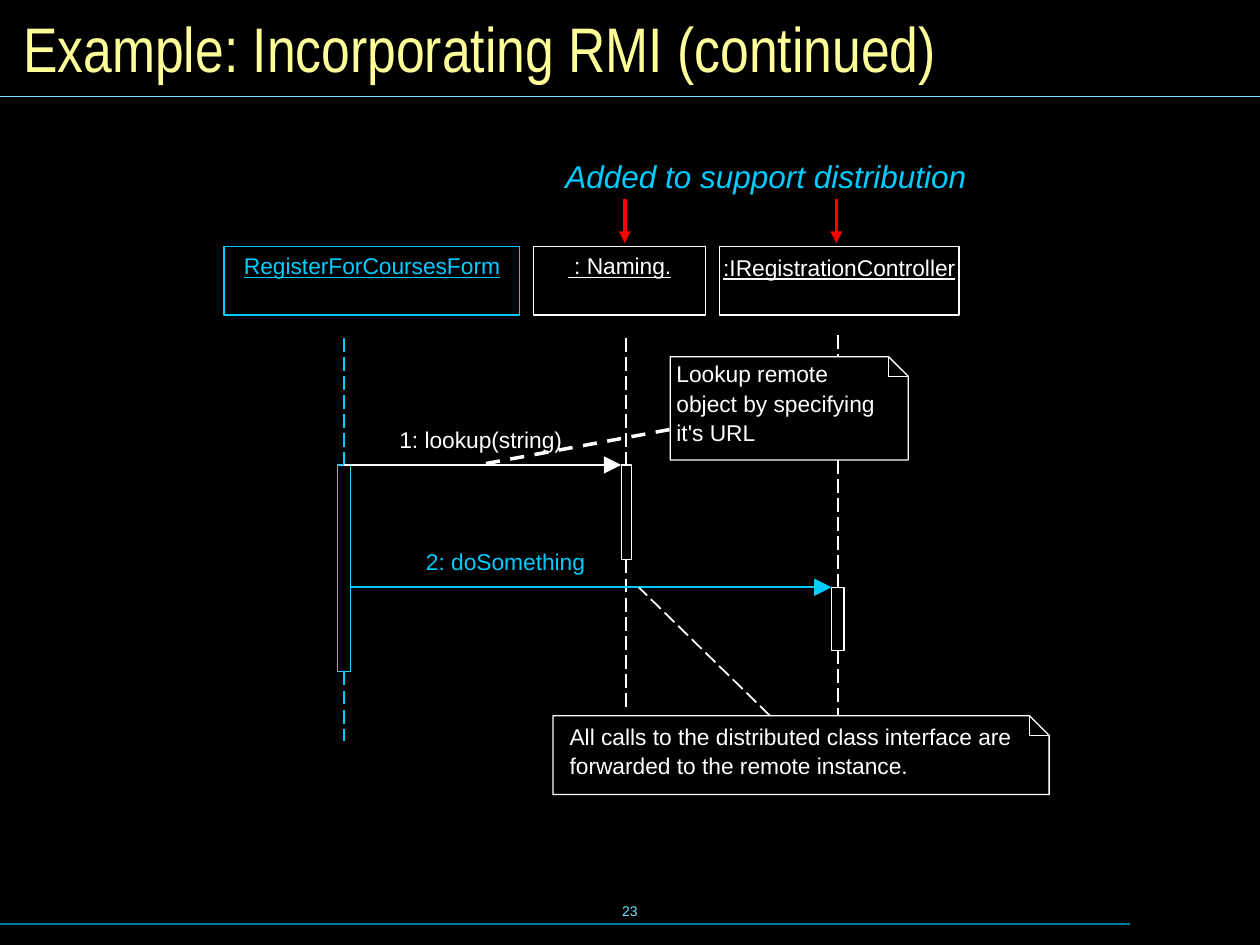
from dataclasses import dataclass
from lxml.etree import SubElement
from pptx import Presentation
from pptx.dml.color import RGBColor as RGB
from pptx.enum.dml import MSO_LINE as DASH
from pptx.enum.shapes import MSO_CONNECTOR as CONN, MSO_SHAPE as SHAPE
from pptx.enum.text import MSO_ANCHOR as ANCHOR, MSO_AUTO_SIZE as FIT, PP_ALIGN as ALIGN
from pptx.oxml.ns import qn
from pptx.util import Pt


@dataclass(frozen=True)
class Theme:
    black: RGB = RGB.from_string("000000")
    white: RGB = RGB.from_string("FFFFFF")
    yellow: RGB = RGB.from_string("FFFF99")
    cyan: RGB = RGB.from_string("00CCFF")
    bar_cyan: RGB = RGB.from_string("33CCFF")
    pale: RGB = RGB.from_string("73E1FF")
    teal: RGB = RGB.from_string("007E9F")
    red: RGB = RGB.from_string("FF0000")
    title_font: str = "Arial Narrow"
    body_font: str = "Arial"
    title: int = 36
    caption: int = 18
    body: int = 13
    number: int = 8


T = Theme()


def set_attrs(obj, values):
    for name, value in values.items():
        setattr(obj, name, value)


def write(shape, lines, color, size=T.body, font=T.body_font, align=ALIGN.LEFT,
          anchor=ANCHOR.TOP, inset=(0, 0), wrap=False, gap=1, **style):
    tf = shape.text_frame
    x, y = map(Pt, inset)
    set_attrs(tf, dict(auto_size=FIT.NONE, word_wrap=wrap, vertical_anchor=anchor,
                       margin_left=x, margin_right=x, margin_top=y, margin_bottom=y))
    for i, line in enumerate(lines):
        p = tf.add_paragraph() if i else tf.paragraphs[0]
        p.alignment = align
        if i:
            p.space_before = Pt(gap)
        r = p.add_run()
        r.text = line
        r.font.color.rgb = color
        set_attrs(r.font, dict(size=Pt(size), name=font, **style))


def label(s, box, text, color, **kw):
    write(s.shapes.add_textbox(*map(Pt, box)), [text], color, **kw)


def outline(sp, color, width):
    sp.shadow.inherit = False
    sp.fill.background()
    sp.line.color.rgb = color
    sp.line.width = Pt(width)
    return sp


def rect(s, box, color, width=0):
    return outline(s.shapes.add_shape(SHAPE.RECTANGLE, *map(Pt, box)), color, width)


def line(s, start, end, color, width=1, dash=None, head=None):
    c = s.shapes.add_connector(CONN.STRAIGHT, *map(Pt, (*start, *end)))
    c.line.color.rgb = color
    c.line.width = Pt(width)
    if dash:
        c.line.dash_style = dash
    if head:
        SubElement(c.line._get_or_add_ln(), qn("a:tailEnd"), type="triangle", w=head, len=head)
    SubElement(c._element.spPr, qn("a:effectLst"))
    return c


def outline_path(s, points, closed):
    pts = [(Pt(x), Pt(y)) for x, y in points]
    fb = s.shapes.build_freeform(*pts[0])
    fb.add_line_segments(pts[1:], close=closed)
    return outline(fb.convert_to_shape(), T.white, 0)


def page_frame(s, box, title, number):
    x, y, w, h = box
    ph = s.shapes.title
    set_attrs(ph, dict(left=Pt(x + 6), top=Pt(y + 6), width=Pt(w - 12), height=Pt(42)))
    write(ph, [title], T.yellow, size=T.title, font=T.title_font, anchor=ANCHOR.MIDDLE,
          inset=(7.2, 3.6), wrap=True)
    line(s, (x, y + 55), (x + w, y + 55), T.pale, 0.75)
    line(s, (x, y + h - 12), (x + w - 74, y + h - 12), T.teal, 0.75)
    label(s, (x + 246, y + h - 37.5, 228, 36), number, T.pale, size=T.number,
          align=ALIGN.CENTER, anchor=ANCHOR.MIDDLE)


def added_caption(s, box, targets):
    x, y, w, h = box
    label(s, box, "Added to support distribution", T.cyan, size=T.caption,
          inset=(7.2, 3.6), wrap=True, italic=True)
    for target in targets:
        line(s, (target, y + h - 1), (target, y + h + 24), T.red, 2.25, head="med")


def note(s, box, lines, inset, fold=11.2):
    x, y, w, h = box
    cut, right, bottom = x + w - fold, x + w, y + h
    body = outline_path(s, [(x, y), (cut, y), (right, y + fold), (right, bottom), (x, bottom)], True)
    outline_path(s, [(cut, y), (cut, y + fold), (right, y + fold)], False)
    write(body, lines, T.white, inset=inset)


def participant(s, head, name, bar, start, end, color, bar_color, hidden=None, inset=3):
    write(rect(s, head, color), [name], color, align=ALIGN.CENTER,
          inset=(0, inset), underline=True)
    x, y, w, h = bar
    mid = x + w / 2
    active = rect(s, bar, bar_color, 0.75)
    if hidden:
        line(s, (mid, start), (mid, hidden[0]), color, dash=DASH.LONG_DASH)
        start = hidden[1]
    line(s, (mid, start), (mid, y), color, dash=DASH.LONG_DASH).end_connect(active, 0)
    line(s, (mid, y + h), (mid, end), color, dash=DASH.LONG_DASH).begin_connect(active, 2)


def message(s, start, end, text, offset, color):
    line(s, start, end, color, head="lg")
    label(s, (start[0] + offset, start[1] - 22.5, 93, 16), text, color)


def sequence_diagram(s, box):
    x, y, w, h = box
    head_y, lookup_y, call_y = y + 55, y + 179.7, y + 249.6
    form_bar = (x + 65, lookup_y, 7.2, 118)
    naming_bar = (x + 227, lookup_y, 5.8, 54)
    remote_bar = (x + 347.2, call_y, 7.2, 36)
    lookup_note = (x + 255, y + 117.8, 136, 59)
    calls_note = (x + w - 283.5, y + h - 45, 283.5, 45)

    added_caption(s, (x + 188, y, 252.7, 29), (x + 229, x + 350))
    participant(s, (x, head_y, 169, 39), "RegisterForCoursesForm", form_bar,
                y + 107, y + 337.4, T.cyan, T.bar_cyan)
    participant(s, (x + 177, head_y, 98, 39), " : Naming.", naming_bar,
                y + 107, y + 320.8, T.white, T.white)
    participant(s, (x + 283, head_y, 137, 39), ":IRegistrationController", remote_bar,
                y + 105.5, calls_note[1], T.white, T.white,
                hidden=(lookup_note[1], lookup_note[1] + lookup_note[3]), inset=4)
    message(s, (x + 68.6, lookup_y), (naming_bar[0], lookup_y),
            "1: lookup(string)", 31.6, T.white)
    message(s, (x + 72.2, call_y), (remote_bar[0], call_y),
            "2: doSomething", 43.2, T.cyan)
    note(s, lookup_note, ["Lookup remote", "object by specifying", "it's URL"], (3.6, 2))
    note(s, calls_note, ["All calls to the distributed class interface are",
                         "forwarded to the remote instance."], (9.5, 4))
    line(s, (x + 254.6, y + 159.5), (x + 149.2, y + 179), T.white, 0, DASH.DASH)
    line(s, (x + 312, calls_note[1]), (x + 237, call_y), T.white, dash=DASH.LONG_DASH)


def main():
    prs = Presentation()
    prs.slide_width, prs.slide_height = Pt(720), Pt(540)
    s = prs.slides.add_slide(prs.slide_layouts[5])
    s.background.fill.solid()
    s.background.fill.fore_color.rgb = T.black
    page_frame(s, (0, 0, 720, 540), "Example: Incorporating RMI (continued)", "23")
    sequence_diagram(s, (128, 86, 471.5, 368))
    prs.save("out.pptx")


if __name__ == "__main__":
    main()
